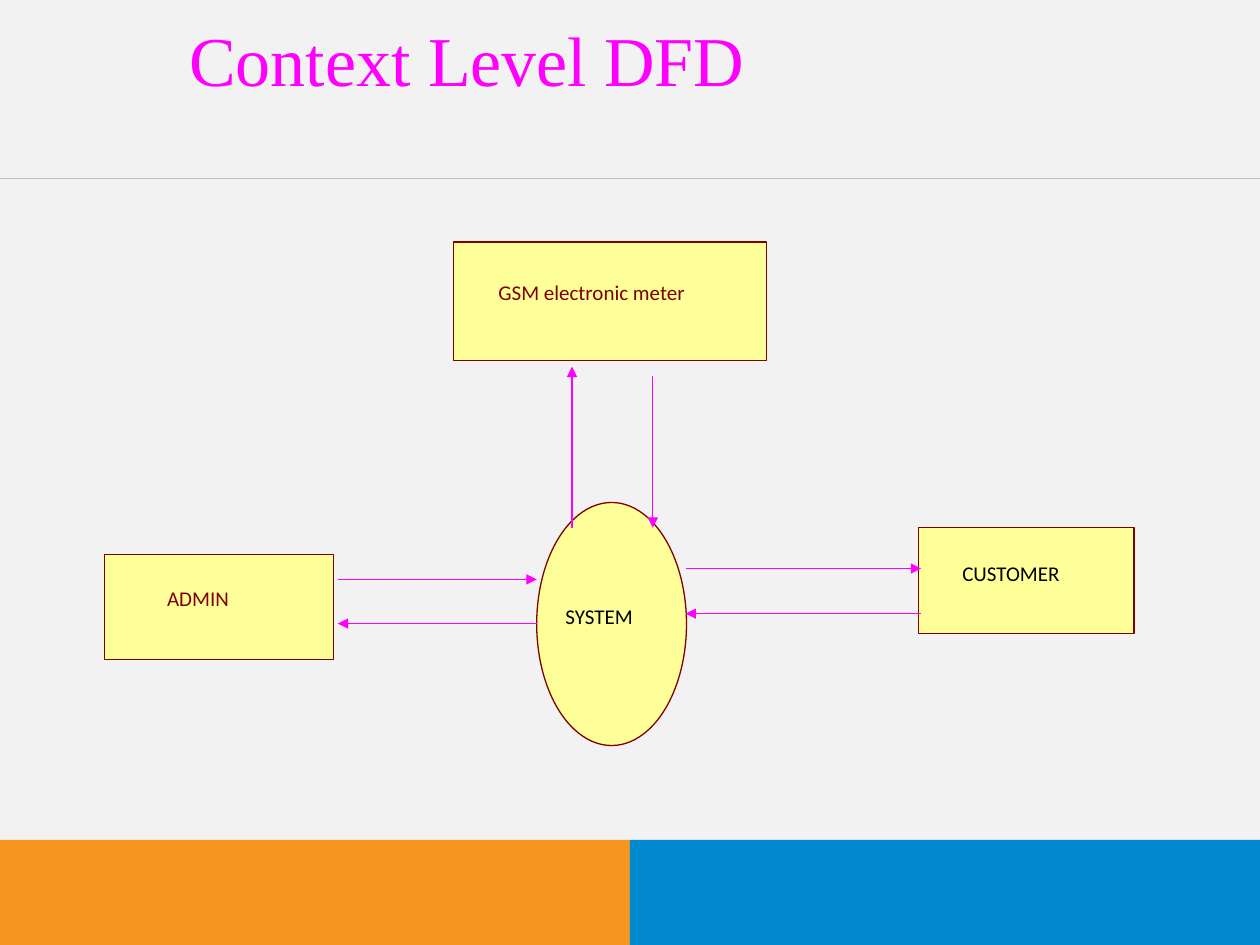
"""Build the context level data flow diagram slide."""
from dataclasses import dataclass

from lxml import etree
from pptx import Presentation
from pptx.dml.color import RGBColor
from pptx.enum.shapes import MSO_CONNECTOR, MSO_SHAPE
from pptx.enum.text import MSO_ANCHOR, PP_ALIGN
from pptx.oxml.ns import qn
from pptx.util import Cm, Pt

RECTANGLE, OVAL = MSO_SHAPE.RECTANGLE, MSO_SHAPE.OVAL
STRAIGHT = MSO_CONNECTOR.STRAIGHT
LEFT, CENTER = PP_ALIGN.LEFT, PP_ALIGN.CENTER
TOP = MSO_ANCHOR.TOP


@dataclass(frozen=True)
class Theme:
    background: str = "F2F2F2"
    orange: str = "F59620"
    blue: str = "0089CF"
    rule: str = "BFBFBF"
    magenta: str = "FF00FF"
    yellow: str = "FFFF99"
    maroon: str = "800000"
    black: str = "000000"
    title_font: str = "Times New Roman"
    label_font: str = "Calibri"
    title_size: float = 40
    label_size: float = 12
    line_width: float = 0.75


theme = Theme()
deck = Presentation()
deck.slide_width, deck.slide_height = Cm(25.4), Cm(19.05)
page = deck.slides.add_slide(deck.slide_layouts[6])
page.background.fill.solid()
page.background.fill.fore_color.rgb = RGBColor.from_string(theme.background)


def add_text(text, bounds, font, size, color, alignment):
    box = page.shapes.add_textbox(*map(Cm, bounds))
    box.text_frame.word_wrap = True
    box.text_frame.vertical_anchor = TOP
    box.text_frame.text = text
    para = box.text_frame.paragraphs[0]
    para.alignment = alignment
    span = para.runs[0]
    span.font.name, span.font.size = font, Pt(size)
    span.font.color.rgb = RGBColor.from_string(color)


def add_line(start, end, color):
    line = page.shapes.add_connector(STRAIGHT, *map(Cm, start + end))
    line.line.color.rgb = RGBColor.from_string(color)
    line.line.width = Pt(theme.line_width)
    etree.SubElement(line._element.spPr, qn("a:effectLst"))
    return line


for left, color in ((0, theme.orange), (12.7, theme.blue)):
    band = page.shapes.add_shape(RECTANGLE, Cm(left), Cm(16.93), Cm(12.7), Cm(2.12))
    band.shadow.inherit = False
    band.fill.solid()
    band.fill.fore_color.rgb = RGBColor.from_string(color)
    band.line.fill.background()

add_line((0, 3.6), (25.4, 3.6), theme.rule)
add_text("Context Level DFD", (0.84, 0.2, 17.15, 3.18),
         theme.title_font, theme.title_size, theme.magenta, CENTER)

nodes = (
    (OVAL, (10.82, 10.13, 3.02, 4.9),
     "SYSTEM", (11.15, 12.04, 2.34, 1.17), theme.black),
    (RECTANGLE, (9.14, 4.88, 6.32, 2.39),
     "GSM electronic meter", (9.8, 5.51, 5.36, 2.06), theme.maroon),
    (RECTANGLE, (2.11, 11.18, 4.62, 2.11),
     "ADMIN", (3.12, 11.68, 5.36, 2.06), theme.maroon),
    (RECTANGLE, (18.52, 10.64, 4.34, 2.13),
     "CUSTOMER", (19.15, 11.18, 3.05, 1.17), theme.black),
)
for kind, bounds, label, label_bounds, color in nodes:
    node = page.shapes.add_shape(kind, *map(Cm, bounds))
    node.shadow.inherit = False
    node.fill.solid()
    node.fill.fore_color.rgb = RGBColor.from_string(theme.yellow)
    node.line.color.rgb = RGBColor.from_string(theme.maroon)
    node.line.width = Pt(theme.line_width)
    add_text(label, label_bounds, theme.label_font, theme.label_size, color, LEFT)

flows = (
    ((13.82, 11.46), (18.57, 11.46)),
    ((18.57, 12.37), (13.82, 12.37)),
    ((11.53, 10.64), (11.53, 7.39)),
    ((13.16, 7.57), (13.16, 10.64)),
    ((6.81, 11.68), (10.82, 11.68)),
    ((10.82, 12.57), (6.81, 12.57)),
)
for start, end in flows:
    flow = add_line(start, end, theme.magenta)
    etree.SubElement(flow.line._get_or_add_ln(), qn("a:tailEnd"), type="triangle")

deck.save("out.pptx")
